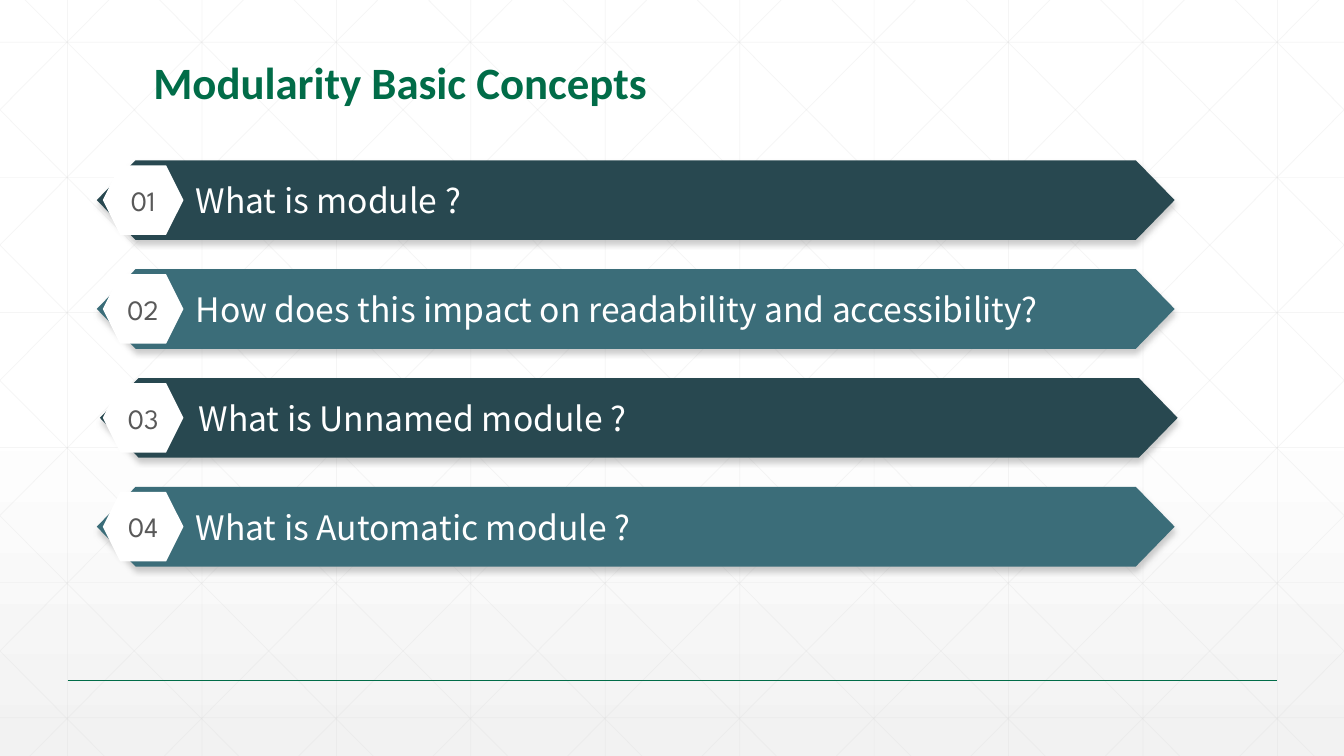
from pptx import Presentation
from pptx.dml.color import RGBColor
from pptx.enum.shapes import MSO_CONNECTOR, MSO_SHAPE
from pptx.enum.text import MSO_ANCHOR, MSO_AUTO_SIZE, PP_ALIGN
from pptx.oxml import parse_xml
from pptx.oxml.ns import nsdecls, qn
from pptx.util import Inches, Pt

WIDTH, HEIGHT = 13.33, 7.5
GREEN = RGBColor(0x01, 0x6C, 0x48)
DARK_TEAL = RGBColor(0x28, 0x48, 0x50)
TEAL = RGBColor(0x3B, 0x6D, 0x79)
WHITE = RGBColor(0xFF, 0xFF, 0xFF)
GREY = RGBColor(0x59, 0x59, 0x59)
PALE_GREY = RGBColor(0xD9, 0xD9, 0xD9)
LIGHT_GREY = RGBColor(0xF2, 0xF2, 0xF2)
SHADOW_GREY = RGBColor(0x80, 0x80, 0x80)

QUESTIONS = [
    ("What is module ?", 0.96),
    ("How does this impact on readability and accessibility?", 0.96),
    ("What is Unnamed module ?", 0.99),
    ("What is Automatic module ?", 0.96),
]


def color_xml(color, opacity):
    return (f'<a:srgbClr {nsdecls("a")} val="{color}">'
            f'<a:alpha val="{opacity * 1000}"/></a:srgbClr>')


class SlideBuilder:
    title_font = "Calibri"
    body_font = "Noto Sans CJK SC"
    number_font = "League Spartan"

    def __init__(self, presentation):
        self.slide = presentation.slides.add_slide(presentation.slide_layouts[5])
        self.shapes = self.slide.shapes

    def background(self, stops):
        self.slide.background.fill.solid()
        properties = self.slide.element.find(".//" + qn("p:bgPr"))
        stops_xml = "".join(
            f'<a:gs pos="{position * 1000}">{color_xml(color, opacity)}</a:gs>'
            for position, color, opacity in stops)
        properties.replace(properties[0], parse_xml(
            f'<a:gradFill {nsdecls("a")} rotWithShape="1"><a:gsLst>{stops_xml}</a:gsLst>'
            '<a:lin ang="5400000" scaled="0"/></a:gradFill>'))

    def line(self, x1, y1, x2, y2, color, weight, opacity=100):
        connector = self.shapes.add_connector(
            MSO_CONNECTOR.STRAIGHT, Inches(x1), Inches(y1), Inches(x2), Inches(y2))
        connector.line.color.rgb = color
        connector.line.width = Pt(weight)
        properties = connector.element.spPr
        properties.append(parse_xml(f'<a:effectLst {nsdecls("a")}/>'))
        fill = properties.find(".//" + qn("a:solidFill"))
        fill.replace(fill[0], parse_xml(color_xml(color, opacity)))

    def grid(self):
        def grid_line(*ends):
            self.line(*ends, PALE_GREY, 0.5, 25)

        step, run = 4 / 3, 7.45
        for column in range(10):
            x = 0.67 + column * step
            grid_line(x, 0, x, HEIGHT)
        for row in range(6):
            y = 0.42 + row * 1.34
            grid_line(0, y, WIDTH, y)
        for index in range(-5, 10):
            top = 0.25 + index * step
            left, right = max(top, 0), min(top + run, WIDTH)
            y1, y2 = ((x - top) * HEIGHT / run for x in (left, right))
            grid_line(left, y1, right, y2)
            grid_line(WIDTH - left, y1, WIDTH - right, y2)

    def add_text(self, shape, text, font, size, color, alignment,
                 anchor=MSO_ANCHOR.MIDDLE, insets=(0, 0, 0, 0), bold=False):
        frame = shape.text_frame
        frame.word_wrap = True
        frame.auto_size = MSO_AUTO_SIZE.NONE
        frame.vertical_anchor = anchor
        (frame.margin_left, frame.margin_top,
         frame.margin_right, frame.margin_bottom) = map(Inches, insets)
        paragraph = frame.paragraphs[0]
        paragraph.alignment = alignment
        run = paragraph.add_run()
        run.text = text
        run.font.name = font
        run.font.size = Pt(size)
        run.font.bold = bold
        run.font.color.rgb = color
        return paragraph

    def title(self, text):
        title = self.shapes.title
        title.left, title.top = Inches(1.42), Inches(0.19)
        title.width, title.height = Inches(10.5), Inches(0.94)
        paragraph = self.add_text(title, text, self.title_font, 32, GREEN, PP_ALIGN.LEFT,
                                  MSO_ANCHOR.BOTTOM, (0.1, 0.05, 0.1, 0.05), True)
        paragraph.line_spacing = 0.9
        title.element.getparent().append(title.element)

    def fill(self, shape, color):
        shape.shadow.inherit = False
        shape.fill.solid()
        shape.fill.fore_color.rgb = color
        shape.line.fill.background()

    def banner(self, left, top, text, color):
        width, height, tip = 10.69, 0.79, 0.385
        right, middle, bottom = left + width, top + height / 2, top + height
        corners = [(right - tip, top), (right, middle), (right - tip, bottom),
                   (left + tip, bottom), (left, middle)]
        builder = self.shapes.build_freeform(Inches(left + tip), Inches(top))
        builder.add_line_segments([(Inches(x), Inches(y)) for x, y in corners])
        banner = builder.convert_to_shape()
        self.fill(banner, color)
        banner.element.spPr.find(qn("a:effectLst")).append(parse_xml(
            f'<a:outerShdw {nsdecls("a")} blurRad="{Pt(4)}" dist="{Pt(3)}" dir="5400000" '
            f'algn="t" rotWithShape="0">{color_xml(SHADOW_GREY, 40)}</a:outerShdw>'))
        self.add_text(banner, text, self.body_font, 24, WHITE, PP_ALIGN.JUSTIFY,
                      insets=(0.98, 0.05, 0.1, 0.05))

    def badge(self, top, number):
        badge = self.shapes.add_shape(
            MSO_SHAPE.HEXAGON, Inches(1.02), Inches(top), Inches(0.8), Inches(0.69))
        self.fill(badge, WHITE)
        self.add_text(badge, f"{number:02}", self.number_font, 20, GREY, PP_ALIGN.CENTER)


def main():
    presentation = Presentation()
    presentation.slide_width = Inches(WIDTH)
    presentation.slide_height = Inches(HEIGHT)
    builder = SlideBuilder(presentation)
    builder.background([(0, WHITE, 100), (53, WHITE, 81), (100, LIGHT_GREY, 65)])
    builder.grid()
    builder.line(0.67, 6.75, 12.67, 6.75, GREEN, 1)
    builder.title("Modularity Basic Concepts")
    for index, (question, left) in enumerate(QUESTIONS):
        top = 1.59 + index * 1.08
        builder.banner(left, top, question, (DARK_TEAL, TEAL)[index % 2])
        builder.badge(top + 0.05, index + 1)
    presentation.save("out.pptx")


if __name__ == "__main__":
    main()
